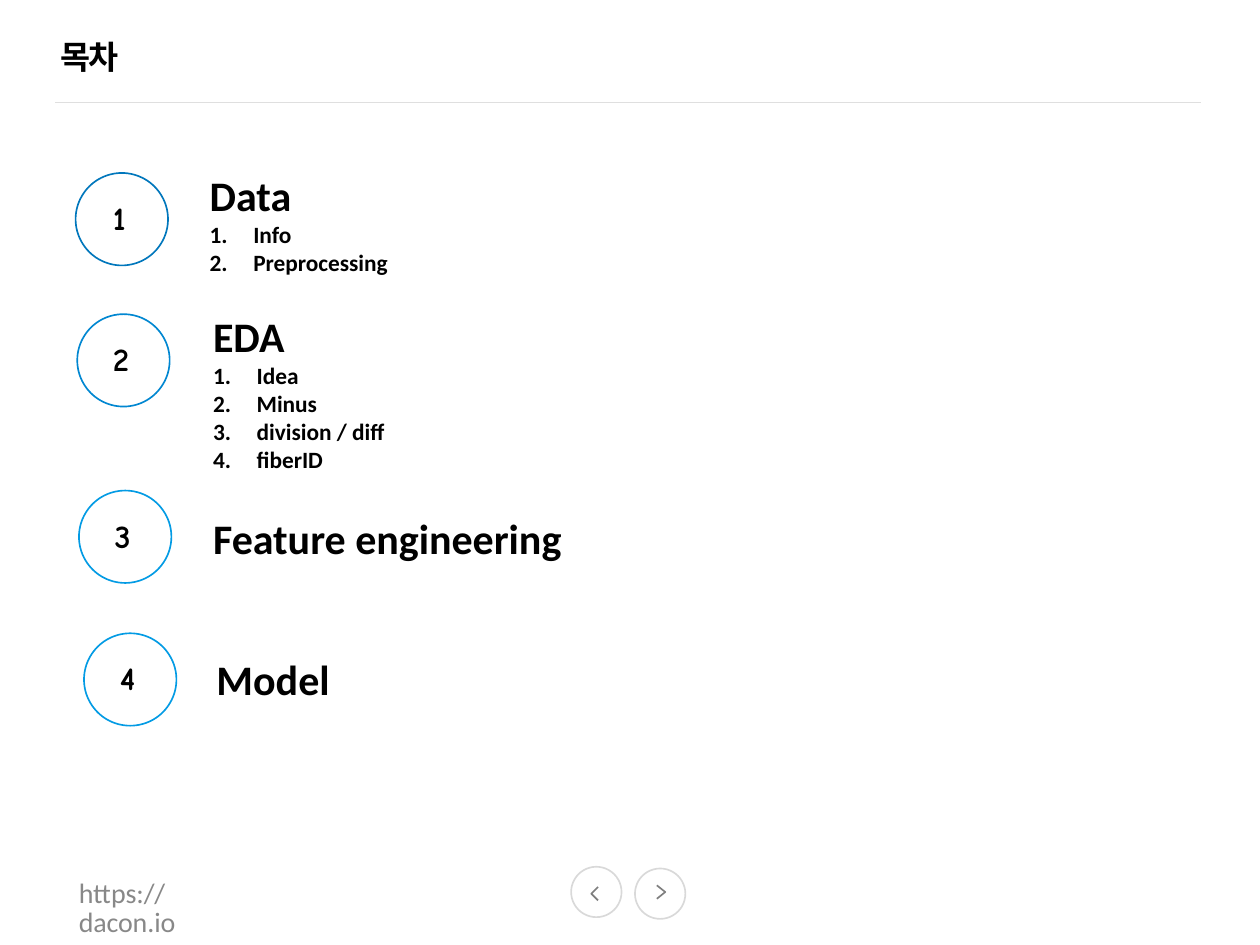
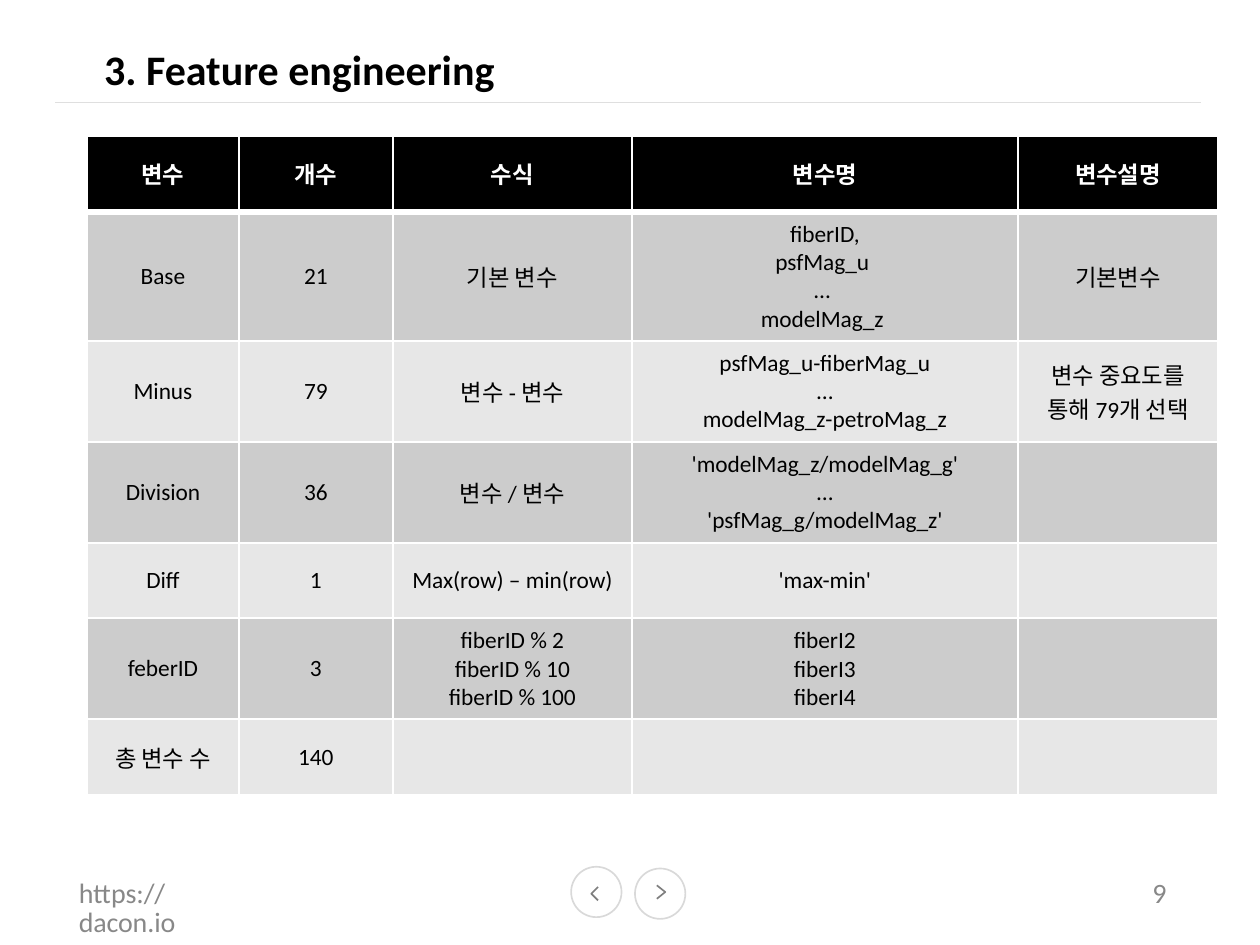
from pptx import Presentation
from pptx.dml.color import RGBColor
from pptx.enum.shapes import MSO_CONNECTOR, MSO_SHAPE
from pptx.enum.text import MSO_ANCHOR, MSO_AUTO_SIZE, PP_ALIGN
from pptx.oxml.ns import qn
from pptx.util import Inches, Pt
from lxml.etree import SubElement

COLORS = {
    "black": "000000",
    "white": "FFFFFF",
    "rule": "DFDFDF",
    "button": "D9D9D9",
    "chevron": "7E7E7E",
    "footer": "888888",
    "odd_row": "CCCCCC",
    "even_row": "E7E7E7",
}
LATIN_FONT = "Calibri"
KOREAN_FONT = "Noto Sans CJK KR"
NUMBER_FONT = "Comic Neue"
LINE_WIDTH = Pt(0.72)
CIRCLE_SIZE = 0.55
BUTTON_SIZE = 0.3
FOOTER_TOP = 5.24
FOOTER_ADDRESS = "https://dacon.io"

# Left and top of each button, then the points of its chevron
BUTTONS = [
    (3.4, 5.16, [(3.56, 5.28), (3.52, 5.32), (3.56, 5.36)]),
    (3.78, 5.17, [(3.91, 5.27), (3.96, 5.31), (3.91, 5.35)]),
]

# Circle place, circle colour, text box place and size, heading, items
AGENDA = [
    ((0.45, 1.03), "0177BC", (1.15, 0.96, 2.1, 0.74), "Data", ["Info", "Preprocessing"]),
    ((0.46, 1.87), "0187D1", (1.17, 1.8, 2.1, 1.08), "EDA",
     ["Idea", "Minus", "division / diff", "fiberID"]),
    ((0.47, 2.92), "039BE4", (1.17, 3, 2.42, 0.4), "Feature engineering", []),
    ((0.5, 3.77), "039BE4", (1.19, 3.84, 2.42, 0.4), "Model", []),
]

COLUMN_WIDTHS = [0.9, 0.92, 1.42, 2.3, 1.19]
ROW_HEIGHT = 0.45
FEATURES = [
    ["변수", "개수", "수식", "변수명", "변수설명"],
    ["Base", "21", "기본 변수", "fiberID,\npsfMag_u \n… \nmodelMag_z ", "기본변수"],
    ["Minus", "79", "변수 - 변수", "psfMag_u-fiberMag_u\n…\nmodelMag_z-petroMag_z",
     "변수 중요도를 통해 79개 선택"],
    ["Division", "36", "변수 / 변수",
     "'modelMag_z/modelMag_g'\n…\n'psfMag_g/modelMag_z'", ""],
    ["Diff", "1", "Max(row) – min(row)", "'max-min'", ""],
    ["feberID", "3", "fiberID % 2\nfiberID % 10\nfiberID % 100",
     "fiberI2\nfiberI3\nfiberI4", ""],
    ["총 변수 수", "140", "", "", ""],
]


def rgb(name):
    return RGBColor.from_string(COLORS.get(name, name))


def add_run(paragraph, text, size, color="black", bold=False, font=LATIN_FONT):
    run = paragraph.add_run()
    run.text = text
    run.font.size = Pt(size)
    run.font.bold = bold
    run.font.name = font
    run.font.color.rgb = rgb(color)
    return run


def set_margins(frame, left=0, top=0, right=0, bottom=0):
    frame.margin_left, frame.margin_top = Inches(left), Inches(top)
    frame.margin_right, frame.margin_bottom = Inches(right), Inches(bottom)


def outline(shape, color):
    """Leave the shape unfilled, with a thin line and no shadow."""
    shape.shadow.inherit = False
    shape.fill.background()
    shape.line.color.rgb = rgb(color)
    shape.line.width = LINE_WIDTH


def add_circle(slide, left, top, size, color):
    circle = slide.shapes.add_shape(
        MSO_SHAPE.OVAL, Inches(left), Inches(top), Inches(size), Inches(size))
    outline(circle, color)
    return circle


def add_text_box(slide, left, top, width, height):
    box = slide.shapes.add_textbox(Inches(left), Inches(top), Inches(width), Inches(height))
    box.text_frame.word_wrap = True
    return box.text_frame


def add_footer_text(slide, text, left, width):
    frame = add_text_box(slide, left, FOOTER_TOP, width, 0.19)
    set_margins(frame, left=0.01)
    paragraph = frame.paragraphs[0]
    paragraph.line_spacing = Pt(12.4)
    run = add_run(paragraph, text, 12, "footer")
    run.font._element.set("spc", "-5")


def fill_layout(layout, slide):
    """Draw the rule, buttons and footer, then move them to the layout."""
    own_shapes = list(slide.shapes)
    rule = slide.shapes.add_connector(
        MSO_CONNECTOR.STRAIGHT, Inches(0.33), Inches(0.61), Inches(7.15), Inches(0.61))
    rule.line.color.rgb = rgb("rule")
    rule.line.width = LINE_WIDTH
    SubElement(rule.element.spPr, qn("a:effectLst"))
    for left, top, points in BUTTONS:
        add_circle(slide, left, top, BUTTON_SIZE, "button")
        corners = [(Inches(x), Inches(y)) for x, y in points]
        builder = slide.shapes.build_freeform(*corners[0])
        builder.add_line_segments(corners[1:], close=False)
        outline(builder.convert_to_shape(), "chevron")
    for shape in list(slide.shapes)[len(own_shapes):]:
        layout.shapes.element.append(shape.element)


def set_title(slide, text, left, top, size, font=LATIN_FONT):
    title = slide.shapes.title
    title.left, title.top = Inches(left), Inches(top)
    title.width, title.height = Inches(2.9), Inches(0.3)
    frame = title.text_frame
    set_margins(frame)
    frame.auto_size = MSO_AUTO_SIZE.NONE
    frame.vertical_anchor = MSO_ANCHOR.TOP
    paragraph = frame.paragraphs[0]
    paragraph.alignment = PP_ALIGN.LEFT
    return add_run(paragraph, text, size, bold=True, font=font)


def number_paragraph(paragraph):
    properties = paragraph._p.get_or_add_pPr()
    properties.set("marL", str(Inches(0.26)))
    properties.set("indent", str(-Inches(0.26)))
    SubElement(properties, qn("a:buFont"), typeface="+mj-lt")
    SubElement(properties, qn("a:buAutoNum"), type="arabicPeriod")


def build_agenda(slide):
    run = set_title(slide, "목차", 0.36, 0.22, 14, KOREAN_FONT)
    properties = run.font._element
    properties.set("spc", "-80")
    SubElement(properties, qn("a:ea"), typeface=KOREAN_FONT)
    for number, (place, color, box, heading, items) in enumerate(AGENDA, start=1):
        circle = add_circle(slide, *place, CIRCLE_SIZE, color)
        set_margins(circle.text_frame, right=0.03, bottom=0.02)
        circle.text_frame.vertical_anchor = MSO_ANCHOR.MIDDLE
        paragraph = circle.text_frame.paragraphs[0]
        paragraph.alignment = PP_ALIGN.CENTER
        add_run(paragraph, str(number), 14, bold=True, font=NUMBER_FONT)

        frame = add_text_box(slide, *box)
        add_run(frame.paragraphs[0], heading, 18, bold=True)
        for item in items:
            paragraph = frame.add_paragraph()
            number_paragraph(paragraph)
            add_run(paragraph, item, 10, bold=True)


def set_borders(cell, bottom_width):
    """Put white lines round the cell, ahead of its fill."""
    properties = cell._tc.get_or_add_tcPr()
    widths = {"a:lnL": 1, "a:lnR": 1, "a:lnT": 1, "a:lnB": bottom_width}
    for position, (tag, width) in enumerate(widths.items()):
        line = SubElement(properties, qn(tag), w=str(Pt(width)))
        fill = SubElement(line, qn("a:solidFill"))
        SubElement(fill, qn("a:srgbClr"), val=COLORS["white"])
        properties.insert(position, line)


def build_features(slide):
    set_title(slide, "3. Feature engineering", 0.62, 0.26, 18)
    add_footer_text(slide, "9", 6.85, 0.21)
    table = slide.shapes.add_table(
        len(FEATURES), len(COLUMN_WIDTHS), Inches(0.52), Inches(0.81),
        Inches(sum(COLUMN_WIDTHS)), Inches(ROW_HEIGHT * len(FEATURES))).table
    for column, width in zip(table.columns, COLUMN_WIDTHS):
        column.width = Inches(width)
    for row_index, texts in enumerate(FEATURES):
        header = row_index == 0
        fill = "black" if header else ("even_row", "odd_row")[row_index % 2]
        for column_index, text in enumerate(texts):
            cell = table.cell(row_index, column_index)
            cell.fill.solid()
            cell.fill.fore_color.rgb = rgb(fill)
            cell.vertical_anchor = MSO_ANCHOR.MIDDLE
            set_borders(cell, 3 if header else 1)
            frame = cell.text_frame
            for line_index, line in enumerate(text.split("\n")):
                paragraph = frame.add_paragraph() if line_index else frame.paragraphs[0]
                paragraph.alignment = PP_ALIGN.CENTER
                paragraph.font.size = Pt(10)
                if line:
                    add_run(paragraph, line, 10, "white" if header else "black", header)


def main():
    presentation = Presentation()
    presentation.slide_width = Inches(7.5)
    presentation.slide_height = presentation.slide_width * 3 // 4
    layout = presentation.slide_layouts.get_by_name("Title Only")
    agenda = presentation.slides.add_slide(layout)
    features = presentation.slides.add_slide(layout)
    fill_layout(layout, agenda)
    for slide in (agenda, features):
        add_footer_text(slide, FOOTER_ADDRESS, 0.46, 1)
    build_agenda(agenda)
    build_features(features)
    presentation.save("out.pptx")


if __name__ == "__main__":
    main()
